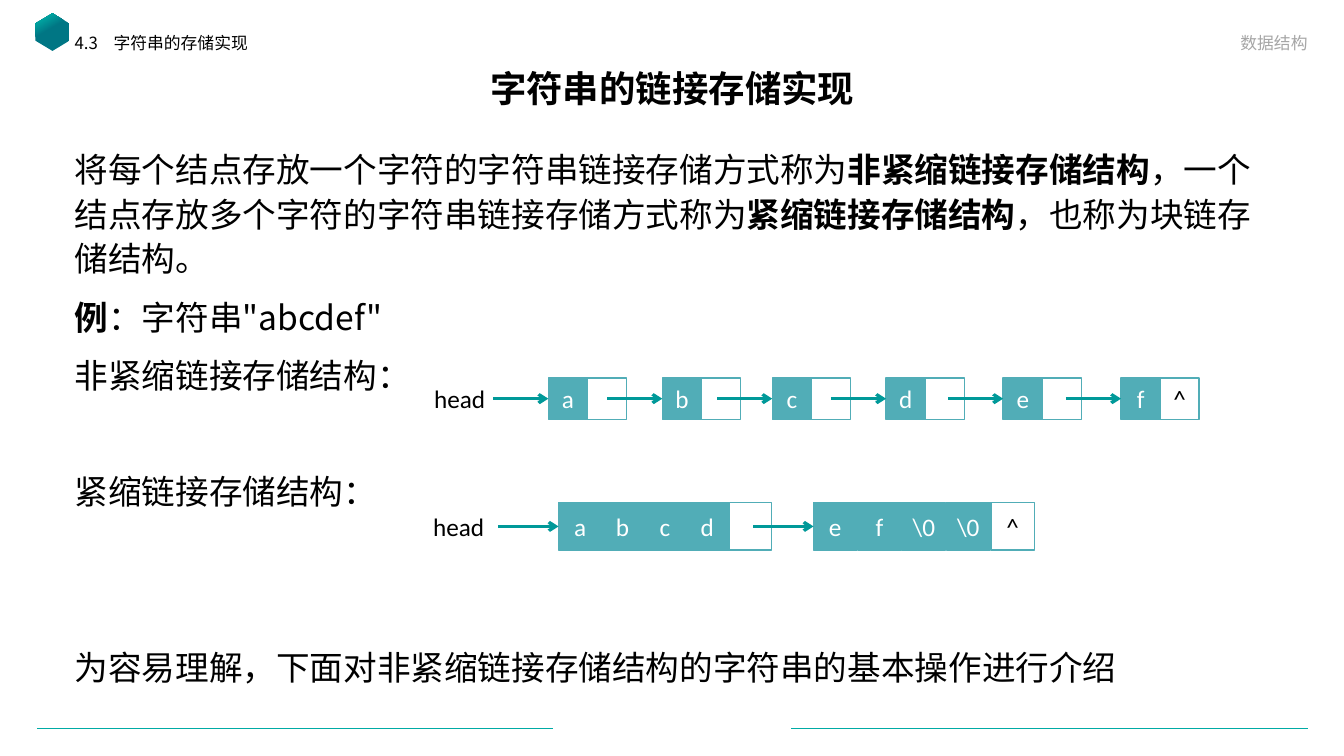
import collections
import dataclasses

import pptx
import pptx.dml.color
import pptx.enum.shapes
import pptx.enum.text
import pptx.oxml.ns
import pptx.util
from lxml import etree

SHAPE = pptx.enum.shapes.MSO_SHAPE
ALIGN = pptx.enum.text.PP_ALIGN
ANCHOR = pptx.enum.text.MSO_ANCHOR
WIDTH, HEIGHT = pptx.util.Inches(13.33), pptx.util.Inches(7.5)

# Boxes are in columns and rows: 100 columns across and 100 rows down the slide.
Box = collections.namedtuple("Box", "x y w h")
Node = collections.namedtuple("Node", "left pitch chars end")


@dataclasses.dataclass(frozen=True)
class Theme:
    black: str = "000000"
    white: str = "FFFFFF"
    gray: str = "A6A6A6"
    cell: str = "51ADB7"
    arrow: str = "009999"
    deep: str = "007684"
    teal: str = "00ABA5"
    hans: str = "Noto Sans CJK SC"
    latin: str = "Calibri"
    title: int = 26
    body: int = 24
    label: int = 18
    small: int = 12


THEME = Theme()


def col(n):
    return round(WIDTH * n / 100)


def row(n):
    return round(HEIGHT * n / 100)


def frame(box):
    return col(box.x), row(box.y), col(box.w), row(box.h)


def rgb(color):
    return pptx.dml.color.RGBColor.from_string(color)


def add(parent, tag, **attrs):
    return etree.SubElement(parent, pptx.oxml.ns.qn(tag), **attrs)


def write(para, text, size, color=THEME.black, bold=False, face=THEME.hans):
    run = para.add_run()
    run.text = text
    font = run.font
    font.size, font.bold, font.name = pptx.util.Pt(size), bold, face
    font.color.rgb = rgb(color)
    add(run._r.get_or_add_rPr(), "a:ea", typeface=face)


def place(holder, box, anchor):
    holder.left, holder.top, holder.width, holder.height = frame(box)
    text = holder.text_frame
    text.word_wrap = True
    text.auto_size = pptx.enum.text.MSO_AUTO_SIZE.NONE
    text.vertical_anchor = anchor
    return text


def plain(para, align, space, hang=0):
    """Drop the bullet, then set a hanging indent, alignment and spacing."""
    props = para._p.get_or_add_pPr()
    props.set("marL", str(col(hang)))
    props.set("indent", str(-col(hang)))
    add(props, "a:buNone")
    para.alignment, para.line_spacing = align, space
    para.space_before = para.space_after = pptx.util.Pt(0)


def heading(holder, box, text, size, align, anchor, color=THEME.black,
            bold=False, hang=0):
    para = place(holder, box, anchor).paragraphs[0]
    plain(para, align, 0.9, hang)
    write(para, text, size, color, bold)


def body(holder, box, paras):
    """Each paragraph is its space before and its (text, bold) runs."""
    text = place(holder, box, ANCHOR.TOP)
    for i, (gap, runs) in enumerate(paras):
        para = text.add_paragraph() if i else text.paragraphs[0]
        plain(para, ALIGN.LEFT, pptx.util.Pt(32))
        para.space_before = pptx.util.Pt(gap)
        for words, bold in runs:
            write(para, words, THEME.body, bold=bold)


def line(shapes, x1, x2, y, color, width):
    link = shapes.add_connector(pptx.enum.shapes.MSO_CONNECTOR.STRAIGHT,
                                col(x1), row(y), col(x2), row(y))
    link.line.color.rgb = rgb(color)
    link.line.width = pptx.util.Pt(width)
    add(link._element.spPr, "a:effectLst")
    return link


def decor(shapes, box):
    """Hexagon in the top left corner and two rules at the foot of the box."""
    badge = shapes.add_shape(SHAPE.HEXAGON, *frame(
        Box(box.x + 2.5, box.y + 2, 2.8, 4.5)))
    badge.rotation = 90
    badge.adjustments[0] = 0.3
    badge.shadow.inherit = False
    badge.line.fill.background()
    badge.fill.gradient()
    badge.fill.gradient_angle = 210
    stops = ((0.57, THEME.deep), (0.87, THEME.teal))
    for stop, (pos, color) in zip(badge.fill.gradient_stops, stops):
        stop.position, stop.color.rgb = pos, rgb(color)
    for start, end in ((2.78, 41.11), (58.89, 97.3)):
        line(shapes, box.x + start, box.x + end, box.y + 96.3, THEME.teal, 0.75)


def cell(shapes, box, text, filled):
    rect = shapes.add_shape(SHAPE.RECTANGLE, *frame(box))
    rect.shadow.inherit = False
    rect.line.color.rgb = rgb(THEME.cell)
    rect.line.width = pptx.util.Pt(1)
    if filled:
        rect.fill.solid()
        rect.fill.fore_color.rgb = rgb(THEME.cell)
    else:
        rect.fill.background()
    if text:
        label(rect.text_frame, text, THEME.white if filled else THEME.black)
    return rect


def label(area, text, color):
    area.margin_left = area.margin_right = 0
    area.word_wrap = False
    area.vertical_anchor = ANCHOR.MIDDLE
    para = area.paragraphs[0]
    para.alignment = ALIGN.CENTER
    write(para, text, THEME.label, color, face=THEME.latin)


def chain(shapes, box, wide, reach, nodes):
    """Linked list: cells `wide` columns across, arrows `reach` columns long."""
    head = shapes.add_textbox(*frame(Box(box.x, box.y, 5.4, box.h)))
    label(head.text_frame, "head", THEME.black)
    for node in nodes:
        left = box.x + node.left
        cells = [cell(shapes, Box(left + i * node.pitch, box.y, wide, box.h),
                      text, i < len(node.chars))
                 for i, text in enumerate([*node.chars, node.end])]
        link = line(shapes, left - reach, left, box.y + box.h / 2, THEME.arrow, 2.25)
        add(link.line._get_or_add_ln(), "a:tailEnd", type="arrow")
        link.end_connect(cells[0], 1)


def main():
    deck = pptx.Presentation()
    deck.slide_width, deck.slide_height = WIDTH, HEIGHT
    slide = deck.slides.add_slide(deck.slide_layouts.get_by_name("Comparison"))
    shapes = slide.shapes
    title, topic, main_text, course, spare = slide.placeholders
    spare._element.getparent().remove(spare._element)

    decor(shapes, Box(0, 0, 100, 100))
    heading(title, Box(6.9, 8.2, 86.27, 7.6), "字符串的链接存储实现",
            THEME.title, ALIGN.CENTER, ANCHOR.MIDDLE, bold=True)
    heading(topic, Box(4.8, 4, 39.9, 4.8), "4.3\t字符串的存储实现",
            THEME.small, ALIGN.LEFT, ANCHOR.TOP, hang=2.9)
    heading(course, Box(55.74, 3.07, 42.3, 4.67), "数据结构",
            THEME.small, ALIGN.RIGHT, ANCHOR.BOTTOM, THEME.gray)
    body(main_text, Box(4.8, 18.4, 90.7, 73.73), [
        (0, [("将每个结点存放一个字符的字符串链接存储方式称为", False),
             ("非紧缩链接存储结构", True),
             ("，一个结点存放多个字符的字符串链接存储方式称为", False),
             ("紧缩链接存储结构", True),
             ("，也称为块链存储结构。", False)]),
        (10, [("例", True), ("：字符串\"abcdef\"", False)]),
        (9, [("非紧缩链接存储结构：", False)]),
        (51, [("紧缩链接存储结构：", False)]),
        (94, [("为容易理解，下面对非紧缩链接存储结构的字符串的基本操作进行介绍", False)]),
    ])
    lefts = (9.3, 17.78, 25.96, 34.43, 43.14, 51.91)
    chain(shapes, Box(31.5, 50, 57.7, 5.47), 2.93, 4.1,
          [Node(left, 2.89, [char], "^" if char == "f" else "")
           for left, char in zip(lefts, "abcdef")])
    chain(shapes, Box(31.43, 66.5, 45.6, 6.27), 3.23, 4.5,
          [Node(10.13, 3.15, list("abcd"), ""),
           Node(29.1, 3.3, ["e", "f", "\\0", "\\0"], "^")])
    deck.save("out.pptx")


if __name__ == "__main__":
    main()
